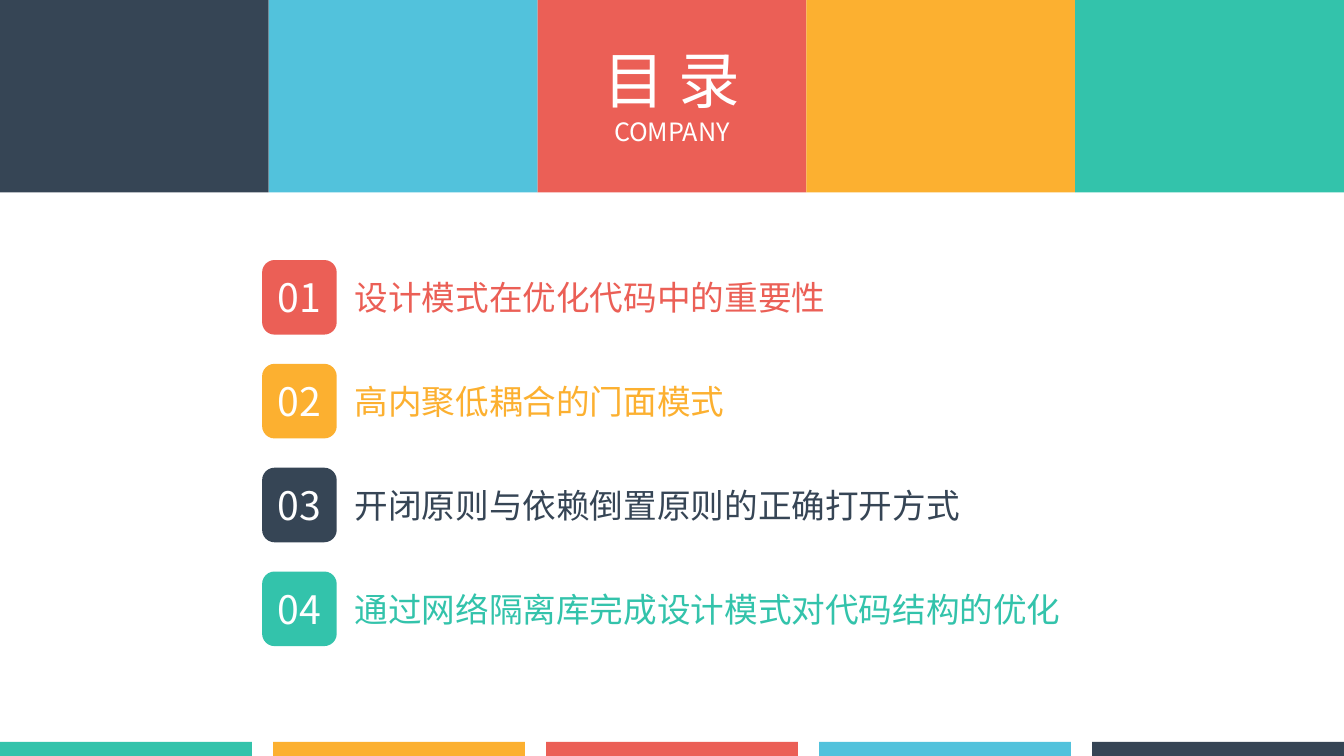
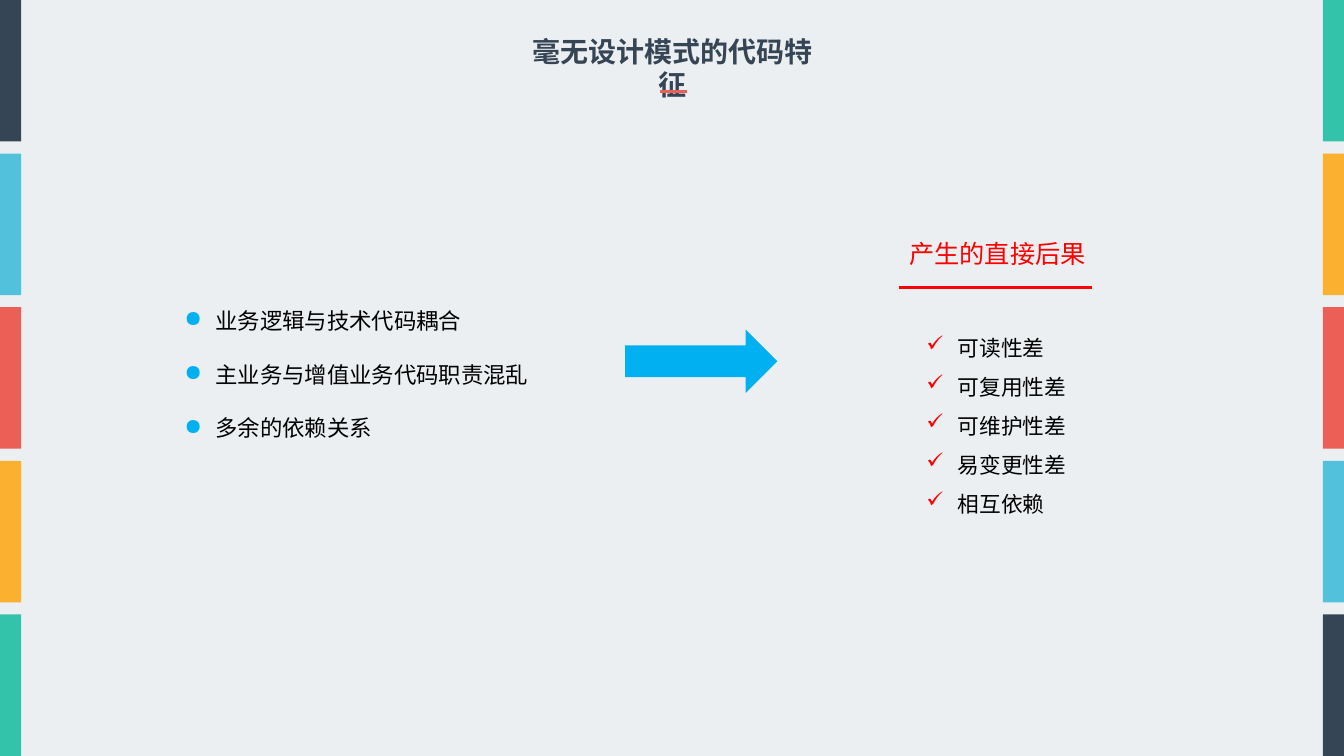
from lxml import etree
from pptx import Presentation
from pptx.dml.color import RGBColor
from pptx.enum.shapes import MSO_CONNECTOR, MSO_SHAPE
from pptx.enum.text import MSO_ANCHOR, PP_ALIGN
from pptx.oxml.ns import qn
from pptx.util import Inches, Pt

RECT = MSO_SHAPE.RECTANGLE
ROUND_RECT = MSO_SHAPE.ROUNDED_RECTANGLE
RIGHT_ARROW = MSO_SHAPE.RIGHT_ARROW
STRAIGHT = MSO_CONNECTOR.STRAIGHT
TOP, MIDDLE = MSO_ANCHOR.TOP, MSO_ANCHOR.MIDDLE
LEFT, CENTER = PP_ALIGN.LEFT, PP_ALIGN.CENTER

WIDTH, HEIGHT = 13.33, 7.5
FONT = "Noto Sans CJK SC"
TITLE_ONLY = 5
COLORS = {
    "navy": "364555", "sky": "52C2DC", "red": "EB5F56", "amber": "FCB030",
    "teal": "33C3AB", "white": "FFFFFF", "black": "000000", "mist": "ECEFF1",
    "blue": "00B0F0", "alert": "FF0000",
}
BAND = ["navy", "sky", "red", "amber", "teal"]
AGENDA = [
    ("设计模式在优化代码中的重要性", "red"),
    ("高内聚低耦合的门面模式", "amber"),
    ("开闭原则与依赖倒置原则的正确打开方式", "navy"),
    ("通过网络隔离库完成设计模式对代码结构的优化", "teal"),
]
CAUSES = ["业务逻辑与技术代码耦合", "主业务与增值业务代码职责混乱", "多余的依赖关系"]
EFFECTS = ["可读性差", "可复用性差", "可维护性差", "易变更性差", "相互依赖"]


def rgb(name):
    return RGBColor.from_string(COLORS[name])


def inches(box):
    return [Inches(v) for v in box]


def write(tf, lines, color, align=LEFT, anchor=TOP, wrap=True, spacing=None):
    """Fill a text frame with (text, format dict) lines, one paragraph each."""
    tf.word_wrap, tf.vertical_anchor = wrap, anchor
    for i, (text, fmt) in enumerate(lines):
        p = tf.paragraphs[0] if i == 0 else tf.add_paragraph()
        p.alignment, p.line_spacing = align, spacing
        r = p.add_run()
        r.text = text
        r.font.color.rgb = rgb(color)
        for key, value in {"name": FONT, "bold": False, **fmt}.items():
            setattr(r.font, key, value)
        etree.SubElement(r.font._element, qn("a:ea"), typeface=FONT)


def add_text(s, box, lines, color, **layout):
    tf = s.shapes.add_textbox(*inches(box)).text_frame
    write(tf, lines, color, **layout)
    return tf


def set_title(s, box, lines, color, wrap):
    sp = s.shapes.title
    sp.left, sp.top, sp.width, sp.height = inches(box)
    write(sp.text_frame, lines, color, align=CENTER, wrap=wrap)


def add_shape(s, kind, box, color):
    sp = s.shapes.add_shape(kind, *inches(box))
    sp.shadow.inherit = False
    sp.fill.solid()
    sp.fill.fore_color.rgb = rgb(color)
    sp.line.fill.background()
    return sp


def add_rule(s, x, y, length, color):
    line = s.shapes.add_connector(STRAIGHT, *inches((x, y, x + length, y)))
    line.line.color.rgb = rgb(color)
    line.line.width = Pt(2.25)
    etree.SubElement(line._element.spPr, qn("a:effectLst"))


def add_band(s, box, colors, gap=0, vertical=False):
    """Split the box into equal coloured bars along one axis."""
    x, y, w, h = box
    size = ((h if vertical else w) + gap) / len(colors)
    for i, color in enumerate(colors):
        if vertical:
            bar = (x, y + i * size, w, size - gap)
        else:
            bar = (x + i * size, y, size - gap, h)
        add_shape(s, RECT, bar, color)


def add_bullets(s, box, items, mark, color, size, spacing, wrap):
    lines = [(item, {"size": Pt(size)}) for item in items]
    tf = add_text(s, box, lines, "black", spacing=spacing, wrap=wrap)
    indent = Inches(0.31)
    for p in tf.paragraphs:
        pPr = p._p.get_or_add_pPr()
        pPr.set("marL", str(indent))
        pPr.set("indent", str(-indent))
        bu = etree.SubElement(pPr, qn("a:buClr"))
        etree.SubElement(bu, qn("a:srgbClr"), val=COLORS[color])
        etree.SubElement(pPr, qn("a:buChar"), char=mark)


def add_agenda_row(s, x, y, number, text, color):
    badge = add_shape(s, ROUND_RECT, (x, y, 0.74, 0.74), color)
    write(badge.text_frame, [(f"{number:02d}", {"size": Pt(28)})], "white",
          align=CENTER, anchor=MIDDLE, wrap=False)
    add_text(s, (x + 0.82, y + 0.12, 8.7, 0.5), [(text, {"size": Pt(24)})], color)


def add_effects(s, x, y):
    """Place the underlined heading and its check list."""
    add_text(s, (x, y, 1.95, 0.4), [("产生的直接后果", {"size": Pt(18)})],
             "alert", wrap=False)
    add_rule(s, x, y + 0.53, 1.91, "alert")
    add_bullets(s, (x + 0.17, y + 0.82, 1.6, 2.06), EFFECTS, "✓", "alert",
                size=15.5, spacing=1.5, wrap=False)


def new_slide(prs, background):
    s = prs.slides.add_slide(prs.slide_layouts[TITLE_ONLY])
    s.background.fill.solid()
    s.background.fill.fore_color.rgb = rgb(background)
    return s


def agenda_slide(prs):
    s = new_slide(prs, "white")
    add_band(s, (0, 0, WIDTH, 1.91), BAND)
    s.shapes._spTree.append(s.shapes.title._element)  # title above the band
    set_title(s, (5.85, 0.37, 1.63, 1.18),
              [("目 录", {"size": Pt(44)}), ("COMPANY", {"size": Pt(18)})],
              "white", wrap=False)
    add_band(s, (0, 7.36, WIDTH, 0.14), BAND[::-1], gap=0.21)
    for i, (text, color) in enumerate(AGENDA):
        add_agenda_row(s, 2.6, 2.58 + i * 1.03, i + 1, text, color)


def traits_slide(prs):
    s = new_slide(prs, "mist")
    set_title(s, (5.05, 0.29, 3.24, 0.44),
              [("毫无设计模式的代码特征", {"size": Pt(20), "bold": True})],
              "navy", wrap=True)
    for x, colors in ((WIDTH - 0.21, BAND[::-1]), (0, BAND)):
        add_band(s, (x, 0, 0.21, HEIGHT), colors, gap=0.12, vertical=True)
    add_rule(s, 6.55, 0.91, 0.26, "red")
    add_bullets(s, (1.73, 2.73, 4.78, 1.72), CAUSES, "●", "blue",
                size=16, spacing=2, wrap=True)
    add_shape(s, RIGHT_ARROW, (6.2, 3.27, 1.51, 0.63), "blue")
    add_effects(s, 8.92, 2.32)


def main():
    prs = Presentation()
    prs.slide_width, prs.slide_height = Inches(WIDTH), Inches(HEIGHT)
    agenda_slide(prs)
    traits_slide(prs)
    prs.save("out.pptx")


if __name__ == "__main__":
    main()
